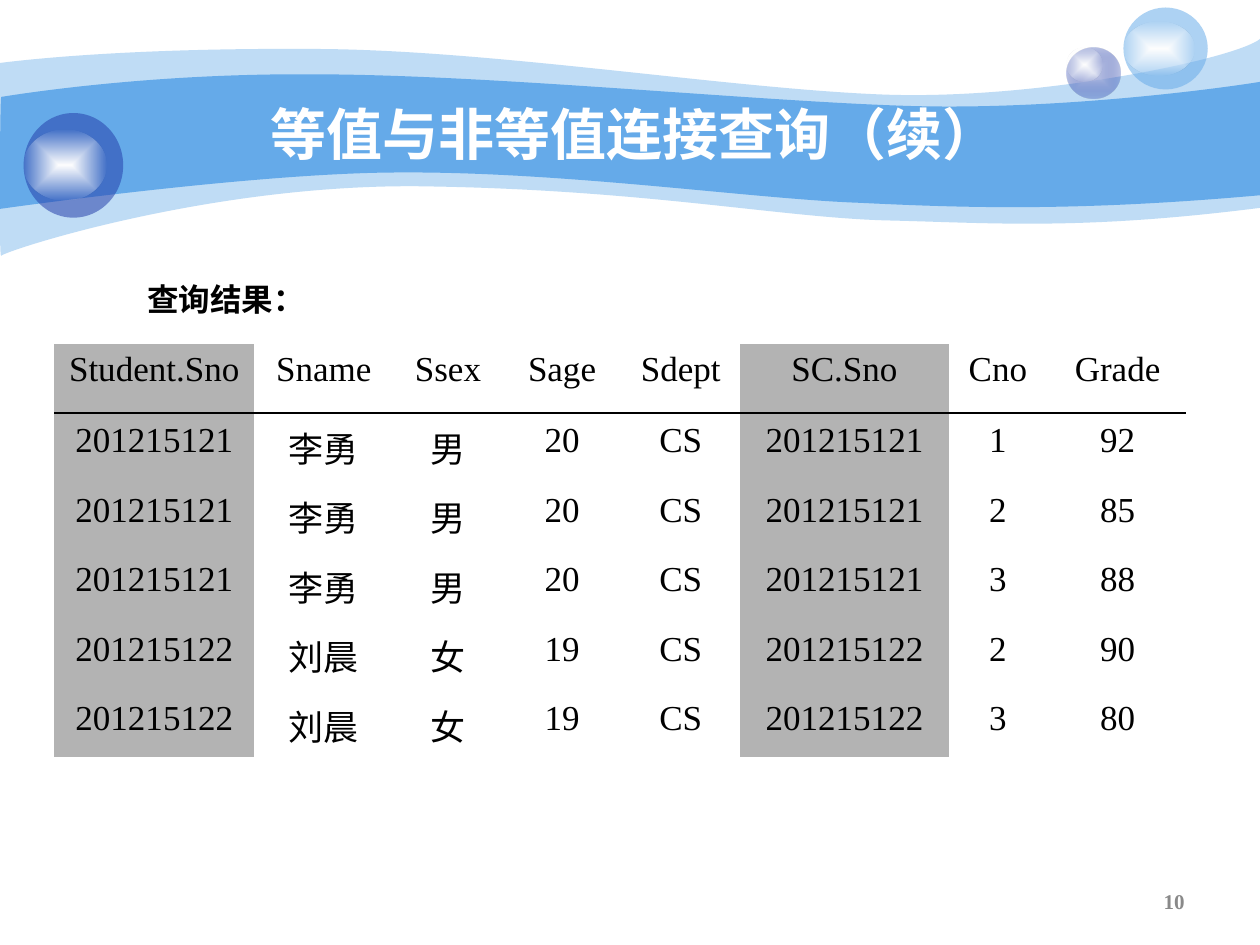
import pptx
import pptx.dml.color
import pptx.enum.shapes
import pptx.enum.text
import pptx.oxml.ns
import pptx.util
from lxml import etree

Pt = pptx.util.Pt
qn = pptx.oxml.ns.qn
RGB = pptx.dml.color.RGBColor.from_string
ALIGN = pptx.enum.text.PP_ALIGN
ANCHOR = pptx.enum.text.MSO_ANCHOR

THEME = {
    "sky": "65AAE9", "navy": "233DA9", "lilac": "C7CEE9", "white": "FFFFFF",
    "black": "000000", "key": "B3B3B3", "muted": "898989",
    "title": 32, "label": 18, "cell": 20, "number": 12,
    "sans": "Arial", "serif": "Times New Roman",
}
NO_GRID_STYLE = "{2D5ABB26-0587-4C30-8999-92F81FD0307C}"
HANGING = Pt(27)


def paint(shape, *stops):
    """Fill with (colour, opacity %) stops: one is solid, two run from centre to edge."""
    shape.shadow.inherit = False
    shape.line.fill.background()
    if len(stops) == 1:
        shape.fill.solid()
        colors = [shape.fill.fore_color]
    else:
        shape.fill.gradient()
        colors = [stop.color for stop in shape.fill.gradient_stops]
        gradient = shape._element.spPr.find(qn("a:gradFill"))
        gradient.remove(gradient.find(qn("a:lin")))
        focus = etree.SubElement(gradient, qn("a:path"), path="rect")
        etree.SubElement(focus, qn("a:fillToRect"), l="50000", t="50000", r="50000", b="50000")
    for color, (name, opacity) in zip(colors, stops):
        color.rgb = RGB(THEME[name])
    for node, (name, opacity) in zip(shape._element.spPr.iter(qn("a:srgbClr")), stops):
        if opacity < 100:
            etree.SubElement(node, qn("a:alpha"), val=str(opacity * 1000))


def write(frame, text, align, hanging, size, font, color, bold=False):
    paragraph = frame.paragraphs[0]
    paragraph.text = text
    paragraph.alignment = align
    if hanging:
        properties = paragraph._p.get_or_add_pPr()
        properties.set("marL", str(HANGING))
        properties.set("indent", str(-HANGING))
    formats = {"size": Pt(THEME[size]), "name": THEME[font], "bold": bold}
    for attribute, value in formats.items():
        setattr(paragraph.runs[0].font, attribute, value)
    paragraph.runs[0].font.color.rgb = RGB(THEME[color])


deck = pptx.Presentation()
deck.slide_width, deck.slide_height = Pt(720), Pt(540)
slide = deck.slides.add_slide(deck.slide_layouts[6])

# Waves: six numbers are a Bezier curve, two are a straight line
waves = [
    (41, (0, 36), [
        (17.3, 33.8, 77, 27.4, 177.8, 28), (277.9, 28, 414, 50.4, 503.3, 54),
        (591.8, 57.6, 705.6, 33.8, 720, 22.3), (720, 118.8),
        (617.8, 131.8, 566.6, 127.4, 507.6, 126), (447.8, 124.6, 370.8, 108.7, 247, 106.6),
        (123.8, 103.7, 2.9, 143.3, 0.7, 146.2), (-0.7, 149.8, 0, 54, 0, 36)]),
    (100, (0.7, 55.4), [
        (1.4, 55.4, 79.2, 41.8, 178.6, 42.5), (277.9, 42.5, 428.4, 57.6, 517, 60.5),
        (605.5, 63.4, 702.7, 49.7, 720, 46.8), (720, 111.6),
        (614.2, 121, 550.8, 118.8, 491, 115.9), (431.3, 113.8, 321.8, 97.9, 228.2, 98.6),
        (146.2, 98.6, -1.4, 119.5, -0.7, 119.5), (0, 119.5, 0, 55.4, 0.7, 55.4)]),
]
for opacity, start, segments in waves:
    outline = slide.shapes.build_freeform(Pt(start[0]), Pt(start[1]))
    for segment in segments:
        points = zip(segment[::2], segment[1::2])
        outline.add_line_segments([(Pt(x), Pt(y)) for x, y in points], close=False)
    outline.add_line_segments([], close=True)
    wave = outline.convert_to_shape()
    steps = iter(list(wave._element.iter(qn("a:lnTo"))))
    for segment in segments:
        nodes = [next(steps) for _ in segment[::2]]
        if len(nodes) == 3:
            curve = etree.Element(qn("a:cubicBezTo"))
            nodes[0].addprevious(curve)
            for node in nodes:
                curve.append(node[0])
                node.getparent().remove(node)
    paint(wave, ("sky", opacity))

# Balls: body and highlight
glow = [("white", 100), ("white", 0)]
balls = [
    ((609.8, 27.4, 30.2, 28.8), [("lilac", 100), ("navy", 31)], (609.8, 27.4, 20.2, 19.4)),
    ((642, 4.3, 48.2, 46.8), [("sky", 53)], (642, 12.2, 40.3, 31)),
    ((13.5, 64.6, 56.9, 59.8), [("navy", 53)], (13.5, 74.2, 47.5, 40.3)),
]
for body, body_stops, highlight in balls:
    ball = slide.shapes.add_group_shape()
    for box, stops in ((body, body_stops), (highlight, glow)):
        paint(ball.shapes.add_shape(pptx.enum.shapes.MSO_SHAPE.OVAL, *map(Pt, box)), *stops)

texts = [
    ((72, 54, 581.8, 44.6), "等值与非等值连接查询（续）", ALIGN.CENTER, ANCHOR.MIDDLE, True,
     (False, "title", "sans", "white", True)),
    ((50, 156.6, 158.4, 28.8), "查询结果：", ALIGN.CENTER, ANCHOR.TOP, False,
     (True, "label", "serif", "black", True)),
    ((516.2, 500.4, 167.8, 28.8), "10", ALIGN.RIGHT, ANCHOR.MIDDLE, True,
     (False, "number", "serif", "muted", True)),
]
for box, text, align, anchor, wrap, style in texts:
    frame = slide.shapes.add_textbox(*map(Pt, box)).text_frame
    frame.word_wrap = wrap
    frame.vertical_anchor = anchor
    write(frame, text, align, *style)

# Query result
column_widths = [114.3, 79.4, 62.6, 67.8, 67.9, 119.2, 56.2, 80.6]
row_heights = [41] + [39.7] * 4 + [36.5]
key_columns = (0, 5)
li_yong = ("201215121", "李勇", "男", "20", "CS", "201215121")
liu_chen = ("201215122", "刘晨", "女", "19", "CS", "201215122")
records = [
    ("Student.Sno", "Sname", "Ssex", "Sage", "Sdept", "SC.Sno", "Cno", "Grade"),
    (*li_yong, "1", "92"),
    (*li_yong, "2", "85"),
    (*li_yong, "3", "88"),
    (*liu_chen, "2", "90"),
    (*liu_chen, "3", "80"),
]
result = slide.shapes.add_table(
    len(records), len(column_widths), Pt(31), Pt(196.3),
    Pt(sum(column_widths)), Pt(sum(row_heights))).table
result.first_row = result.horz_banding = False
result._tbl.tblPr.find(qn("a:tableStyleId")).text = NO_GRID_STYLE
for column, width in zip(result.columns, column_widths):
    column.width = Pt(width)
for row, height, record in zip(result.rows, row_heights, records):
    row.height = Pt(height)
    for index, (cell, value) in enumerate(zip(row.cells, record)):
        write(cell.text_frame, value, ALIGN.CENTER, True, "cell", "serif", "black")
        if index in key_columns:
            cell.fill.solid()
            cell.fill.fore_color.rgb = RGB(THEME["key"])
        else:
            cell.fill.background()

header_rule = slide.shapes.add_connector(
    pptx.enum.shapes.MSO_CONNECTOR.STRAIGHT, Pt(31), Pt(236), Pt(677.5), Pt(236))
header_rule.line.color.rgb = RGB(THEME["black"])
header_rule.line.width = Pt(0.75)
etree.SubElement(header_rule._element.spPr, qn("a:effectLst"))

deck.save("out.pptx")
